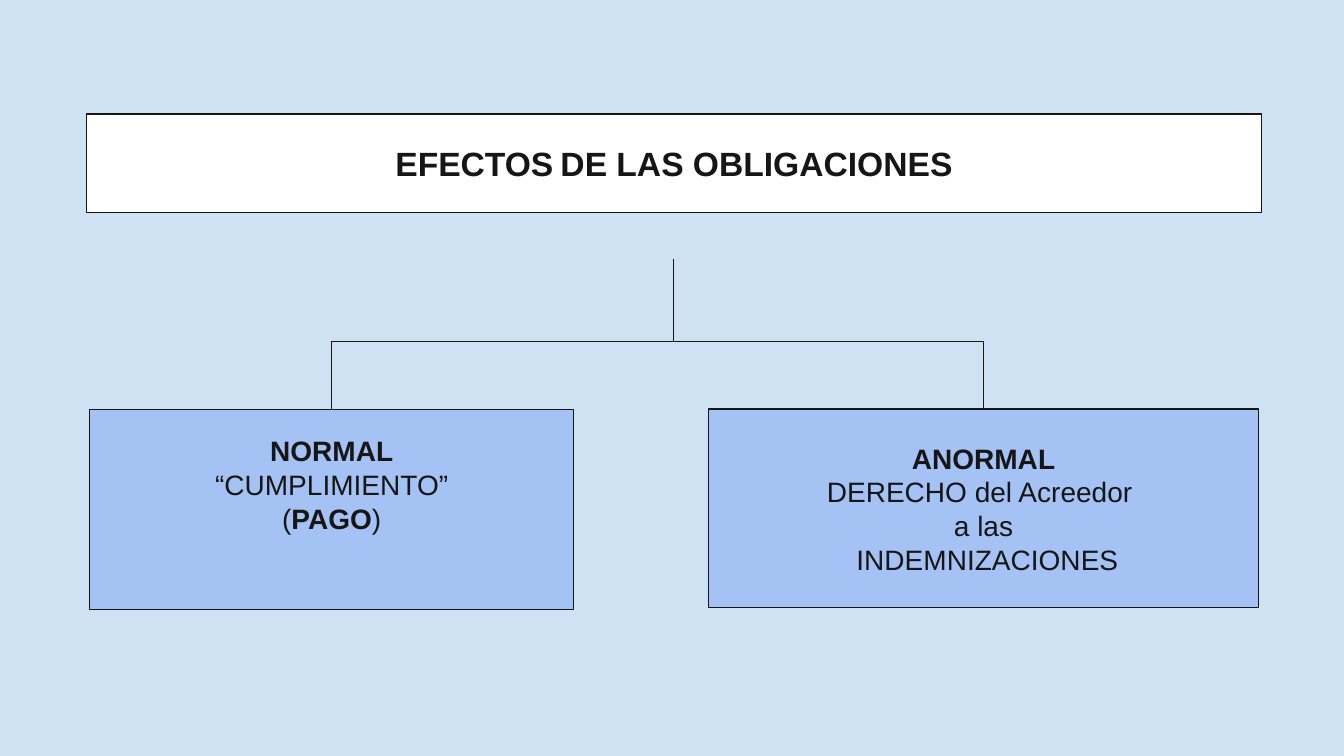
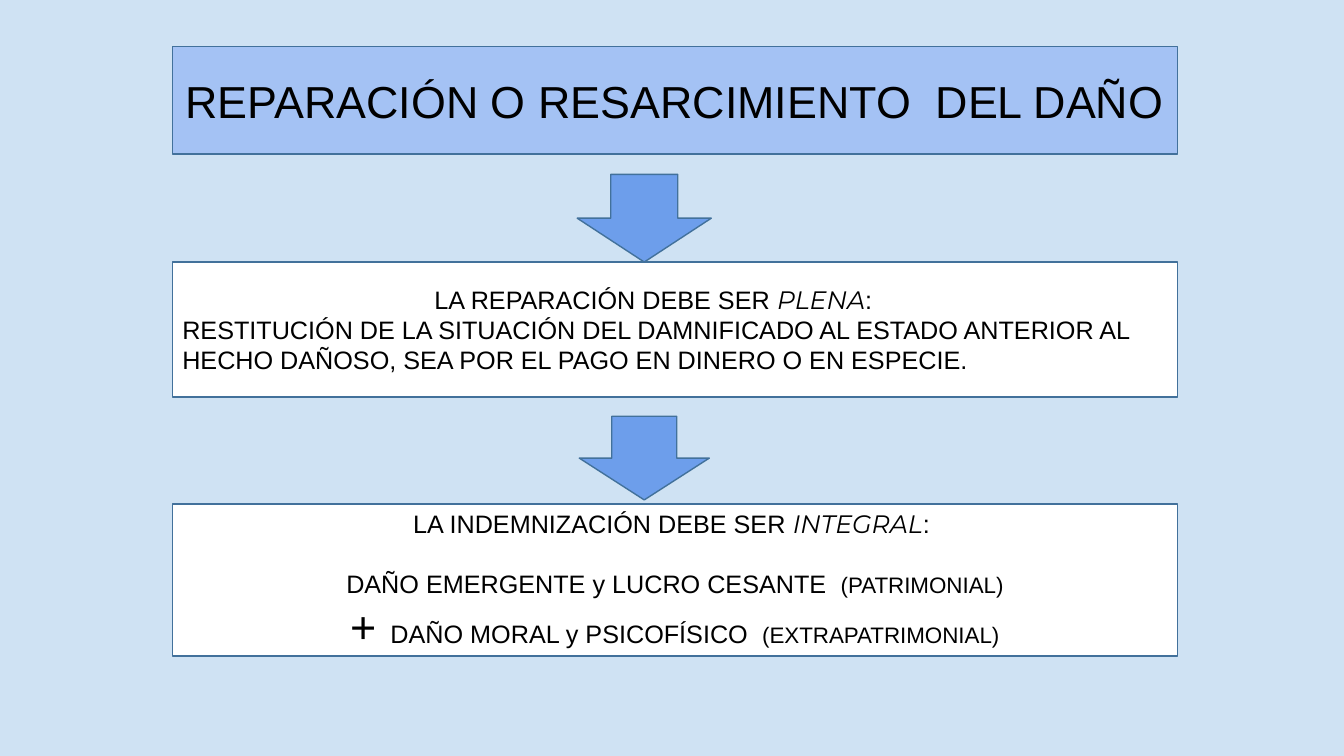
from dataclasses import dataclass

from pptx import Presentation
from pptx.dml.color import RGBColor
from pptx.enum.shapes import MSO_SHAPE
from pptx.enum.text import MSO_ANCHOR, MSO_AUTO_SIZE, PP_ALIGN
from pptx.util import Inches, Pt

RECTANGLE, DOWN_ARROW = MSO_SHAPE.RECTANGLE, MSO_SHAPE.DOWN_ARROW
MIDDLE = MSO_ANCHOR.MIDDLE
CENTER, LEFT = PP_ALIGN.CENTER, PP_ALIGN.LEFT
NO_AUTOFIT = MSO_AUTO_SIZE.NONE
TITLE_ONLY = 5

SKY, PALE_BLUE, ARROW_BLUE, WHITE = "CFE2F3", "A4C2F4", "6D9EEB", "FFFFFF"
INK, BLACK, STEEL = "171616", "000000", "42719B"
BODY_FONT, ACCENT_FONT = "Arial", "Montserrat"


@dataclass(frozen=True)
class Span:
    text: str
    bold: bool | None = None
    italic: bool | None = None
    font: str | None = None
    size: float | None = None


@dataclass(frozen=True)
class Line:
    spans: tuple[Span, ...]
    size: float
    align: PP_ALIGN = CENTER
    bold: bool = False
    indent: float = 0
    space_before: float = 0


@dataclass(frozen=True)
class Panel:
    left: float
    top: float
    width: float
    height: float
    fill: str
    outline: str
    ink: str
    lines: tuple[Line, ...]
    margin_x: float = 0.1
    margin_top: float = 0.05
    margin_bottom: float = 0.05


def rgb(color: str) -> RGBColor:
    return RGBColor.from_string(color)


def accent(text: str) -> Span:
    return Span(text, italic=True, font=ACCENT_FONT)


def draw_outline(shape, color: str) -> None:
    shape.shadow.inherit = False
    shape.line.color.rgb = rgb(color)
    shape.line.width = Pt(1)


def paint(shape, fill: str, outline: str) -> None:
    draw_outline(shape, outline)
    shape.fill.solid()
    shape.fill.fore_color.rgb = rgb(fill)


def write_line(paragraph, line: Line, ink: str) -> None:
    paragraph.alignment = line.align
    if line.indent:
        paragraph._p.get_or_add_pPr().set("indent", str(Inches(line.indent)))
    if line.space_before:
        paragraph.space_before = Pt(line.space_before)
    font = paragraph.font
    font.name, font.size, font.bold = BODY_FONT, Pt(line.size), line.bold
    font.color.rgb = rgb(ink)
    for span in line.spans:
        run = paragraph.add_run()
        run.text = span.text
        if span.bold is not None:
            run.font.bold = span.bold
        if span.italic is not None:
            run.font.italic = span.italic
        if span.font:
            run.font.name = span.font
        if span.size:
            run.font.size = Pt(span.size)


def fill_panel(shape, panel: Panel) -> None:
    """Paint a rectangle or placeholder and write the panel's lines in it."""
    paint(shape, panel.fill, panel.outline)
    frame = shape.text_frame
    frame.word_wrap = True
    frame.auto_size = NO_AUTOFIT
    frame.vertical_anchor = MIDDLE
    frame.margin_left = frame.margin_right = Inches(panel.margin_x)
    frame.margin_top = Inches(panel.margin_top)
    frame.margin_bottom = Inches(panel.margin_bottom)
    for index, line in enumerate(panel.lines):
        paragraph = frame.add_paragraph() if index else frame.paragraphs[0]
        write_line(paragraph, line, panel.ink)


def add_panel(slide, panel: Panel) -> None:
    shape = slide.shapes.add_shape(
        RECTANGLE, Inches(panel.left), Inches(panel.top),
        Inches(panel.width), Inches(panel.height))
    fill_panel(shape, panel)


def add_titled_slide(prs, title: Panel):
    slide = prs.slides.add_slide(prs.slide_layouts[TITLE_ONLY])
    shape = slide.shapes.title
    shape.left, shape.top = Inches(title.left), Inches(title.top)
    shape.width, shape.height = Inches(title.width), Inches(title.height)
    fill_panel(shape, title)
    return slide


def add_branch(slide, panel: Panel) -> None:
    """Draw the stepped line from the shared trunk down to a panel's top."""
    trunk_x, trunk_top, fork_y = Inches(6.68), Inches(2.57), Inches(3.39)
    center = Inches(panel.left + panel.width / 2)
    builder = slide.shapes.build_freeform(trunk_x, trunk_top)
    builder.add_line_segments(
        [(trunk_x, fork_y), (center, fork_y), (center, Inches(panel.top))], close=False)
    branch = builder.convert_to_shape()
    branch.fill.background()
    draw_outline(branch, INK)


def add_down_arrow(slide, center: float, top: float, width: float, height: float) -> None:
    arrow = slide.shapes.add_shape(
        DOWN_ARROW, Inches(center - width / 2), Inches(top), Inches(width), Inches(height))
    paint(arrow, ARROW_BLUE, STEEL)


def build_effects_slide(prs) -> None:
    slide = add_titled_slide(prs, Panel(
        0.86, 1.13, 11.65, 0.98, WHITE, INK, INK,
        (Line((Span("EFECTOS"), Span(" ", bold=False, size=18),
               Span("DE LAS OBLIGACIONES")), 24, bold=True),)))

    normal = Panel(
        0.89, 4.06, 4.8, 1.99, PALE_BLUE, INK, INK,
        (Line((Span("NORMAL"),), 20, bold=True),
         Line((Span("“CUMPLIMIENTO”"),), 20),
         Line((Span("("), Span("PAGO", bold=True), Span(")")), 20)),
        margin_x=0.01, margin_top=0.01, margin_bottom=0.51)
    abnormal = Panel(
        7.03, 4.06, 5.45, 1.97, PALE_BLUE, INK, INK,
        (Line((Span("ANORMAL"),), 20, bold=True),
         Line((Span("DERECHO del Acreedor "),), 20),
         Line((Span("a las"),), 20),
         Line((Span(" INDEMNIZACIONES"),), 20)),
        margin_x=0.01, margin_top=0.01, margin_bottom=0.01)

    for effect in (normal, abnormal):
        add_branch(slide, effect)
        add_panel(slide, effect)


def build_reparation_slide(prs) -> None:
    left, width, arrow_center = 1.71, 9.97, 6.39
    slide = add_titled_slide(prs, Panel(
        left, 0.46, width, 1.07, PALE_BLUE, STEEL, BLACK,
        (Line((Span("REPARACIÓN O RESARCIMIENTO  DEL DAÑO"),), 32),)))

    add_down_arrow(slide, arrow_center, 1.73, 1.33, 0.87)
    add_panel(slide, Panel(
        left, 2.6, width, 1.34, WHITE, STEEL, BLACK,
        (Line((Span("LA REPARACIÓN DEBE SER "), accent("PLENA"), Span(":")),
              18, LEFT, indent=2.5),
         Line((Span("RESTITUCIÓN DE LA SITUACIÓN DEL DAMNIFICADO AL ESTADO ANTERIOR "
                    "AL HECHO DAÑOSO, SEA POR EL PAGO EN DINERO O EN ESPECIE."),),
              18, LEFT))))

    add_down_arrow(slide, arrow_center, 4.13, 1.29, 0.83)
    add_panel(slide, Panel(
        left, 5, width, 1.51, WHITE, STEEL, BLACK,
        (Line((Span("LA INDEMNIZACIÓN DEBE SER "), accent("INTEGRAL"), Span(": ")), 18),
         Line((Span("DAÑO EMERGENTE y LUCRO CESANTE  "), Span("(PATRIMONIAL)", size=16)),
              18, space_before=21.5),
         Line((Span("+", size=32), Span("  DAÑO MORAL y PSICOFÍSICO  "),
               Span("(EXTRAPATRIMONIAL)", size=16)), 18))))


def main() -> None:
    prs = Presentation()
    prs.slide_width, prs.slide_height = Inches(13.33), Inches(7.5)
    backdrop = prs.slide_master.background.fill
    backdrop.solid()
    backdrop.fore_color.rgb = rgb(SKY)
    build_effects_slide(prs)
    build_reparation_slide(prs)
    prs.save("out.pptx")


if __name__ == "__main__":
    main()
